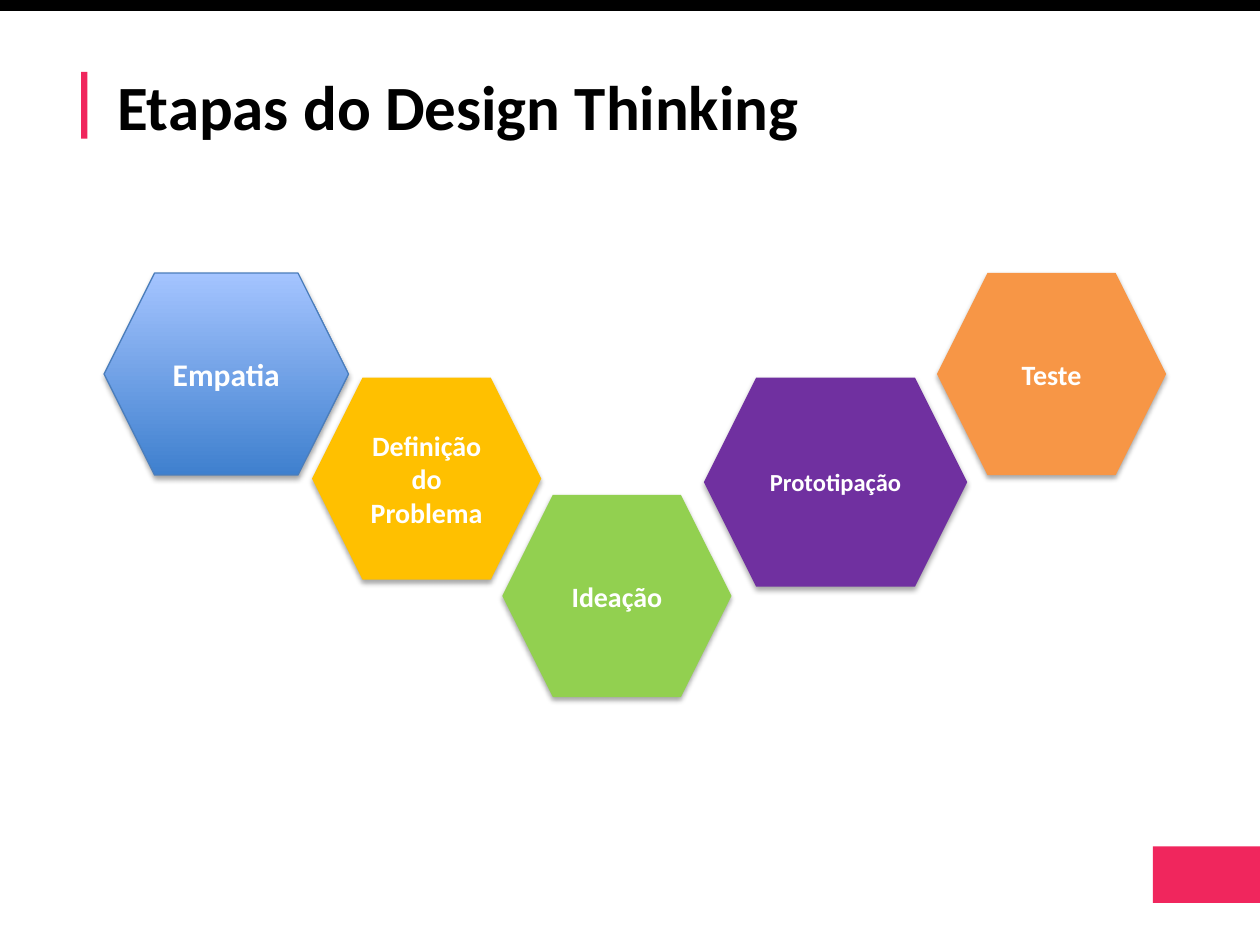
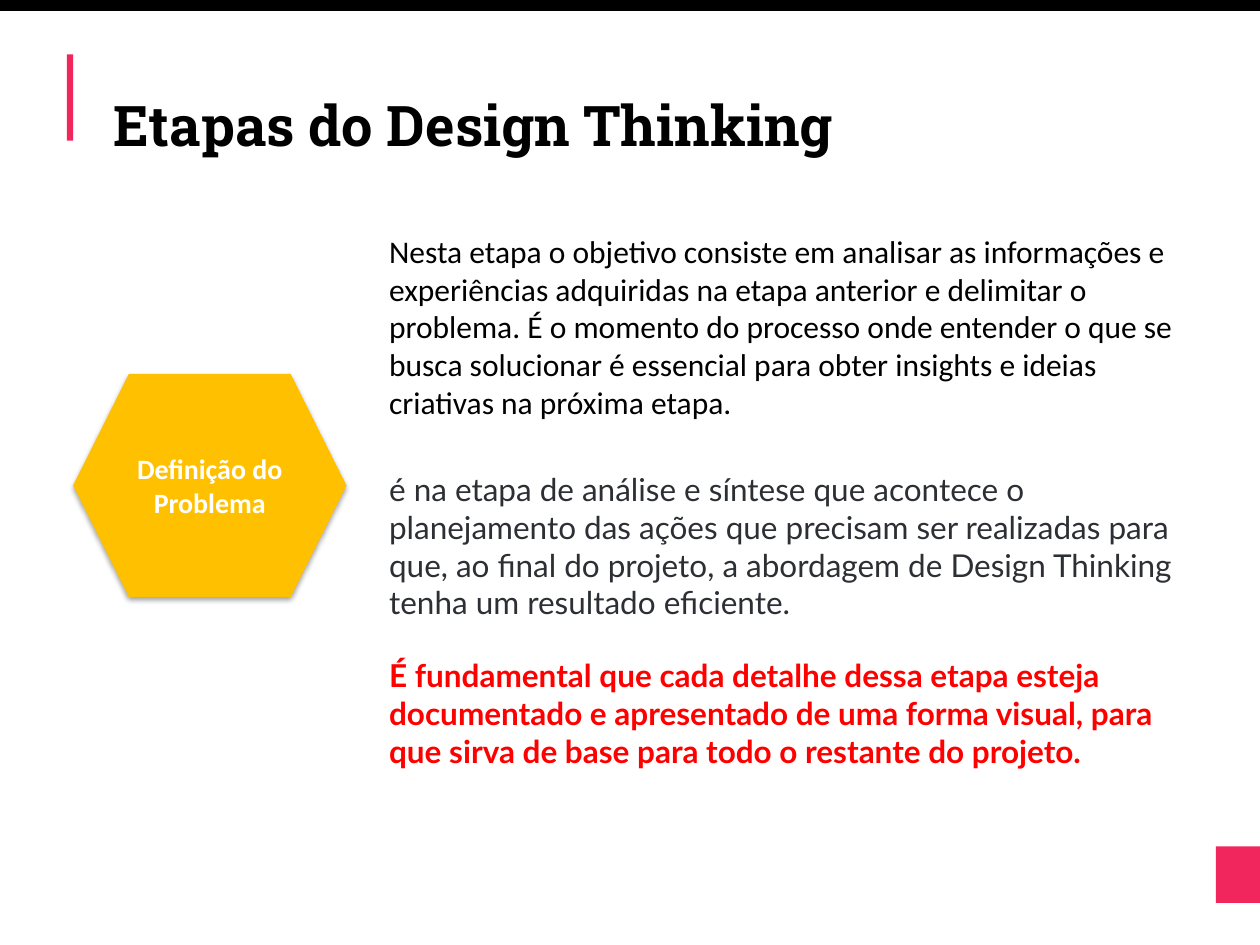
import pptx
import pptx.util
import pptx.dml.color
import pptx.enum.shapes
import pptx.enum.text
import pptx.oxml

Pt = pptx.util.Pt
KIND = pptx.enum.shapes.MSO_SHAPE
ALIGN = pptx.enum.text.PP_ALIGN
ANCHOR = pptx.enum.text.MSO_ANCHOR
FIT = pptx.enum.text.MSO_AUTO_SIZE

WIDE, HIGH = 720, 540
COLORS = {
    "pink": "F0265D", "black": "000000", "white": "FFFFFF",
    "deep": "3F80CE", "pale": "A4C4FF", "edge": "4B7EBC",
    "gold": "FFC000", "green": "92D050", "purple": "7030A0",
    "orange": "F79646", "slate": "2C2F34", "red": "FF0000",
}
TITLE = "Etapas do Design Thinking"
DEFINE = "Definição do Problema"
SHADE = (
    '<a:effectLst xmlns:a="http://schemas.openxmlformats.org/drawingml/2006/main">'
    '<a:outerShdw blurRad="39370" dist="22860" dir="5400000" rotWithShape="0">'
    '<a:srgbClr val="000000"><a:alpha val="35000"/></a:srgbClr>'
    '</a:outerShdw></a:effectLst>'
)


def color(name):
    return pptx.dml.color.RGBColor.from_string(COLORS[name])


def style(para, size, face, tint, bold=False):
    for run in para.runs:
        font = run.font
        font.size, font.name, font.bold = Pt(size), face, bold
        font.color.rgb = color(tint)


def block(slide, kind, box, tint):
    shape = slide.shapes.add_shape(kind, *map(Pt, box))
    shape.shadow.inherit = False
    shape.fill.solid()
    shape.fill.fore_color.rgb = color(tint)
    shape.line.fill.background()
    return shape


def prose(slide, box, texts, gap=0, wrap=True):
    """Add a text box; each text is (words, size, font, colour, bold)."""
    frame = slide.shapes.add_textbox(*map(Pt, box)).text_frame
    frame.word_wrap = wrap
    frame.auto_size = FIT.SHAPE_TO_FIT_TEXT
    for i, (words, *look) in enumerate(texts):
        para = frame.add_paragraph() if i else frame.paragraphs[0]
        para.text = words
        para.space_before = para.space_after = Pt(gap)
        style(para, *look)


def hexagon(slide, box, words, size, tint):
    """Add a shadowed step; the tint "blue" stands for the outlined gradient."""
    blue = tint == "blue"
    shape = block(slide, KIND.HEXAGON, box, "deep" if blue else tint)
    if blue:
        shape.fill.gradient()
        shape.fill.gradient_angle = 90
        for stop, name in zip(shape.fill.gradient_stops, ("deep", "pale")):
            stop.color.rgb = color(name)
        shape.line.color.rgb = color("edge")
        shape.line.width = Pt(0.75)
    props = shape._element.spPr
    for old in props.findall(pptx.oxml.ns.qn("a:effectLst")):
        props.replace(old, pptx.oxml.parse_xml(SHADE))
    frame = shape.text_frame
    frame.text = words
    frame.word_wrap = True
    frame.vertical_anchor = ANCHOR.MIDDLE
    para = frame.paragraphs[0]
    para.alignment = ALIGN.CENTER
    style(para, size, "Calibri", "white", True)


def base(deck, tab, bar, head, size, face):
    """Start a slide with its top band, corner tab, title bar and title."""
    slide = deck.slides.add_slide(deck.slide_layouts[6])
    for box, tint in (((WIDE - tab, 483.6, tab, 32.4), "pink"),
                      ((0, 0, WIDE, 6.3), "black"),
                      (bar, "pink")):
        block(slide, KIND.RECTANGLE, box, tint)
    prose(slide, head, [(TITLE, size, face, "black", True)], wrap=False)
    return slide


def steps(slide, box):
    """Lay the five steps out in a V whose top left corner starts the box."""
    left, top = box[:2]
    for x, y, w, h, words, size, tint in (
            (0, 0, 139.7, 115.5, "Empatia", 18, "blue"),
            (118.8, 59.8, 131, 115.5, DEFINE, 16, "gold"),
            (227.5, 126.8, 131, 115.5, "Ideação", 16, "green"),
            (342.7, 59.8, 150.5, 119.5, "Prototipação", 14, "purple"),
            (475.9, 0, 131, 115.5, "Teste", 16, "orange")):
        hexagon(slide, (left + x, top + y, w, h), words, size, tint)


def detail(slide, box):
    """Put the step on the left of the box and its account on the right."""
    left, top, width, height = box
    tall = 127.4
    hexagon(slide, (left, top + 84.8, 156.2, tall), DEFINE, 16, "gold")
    text = left + 173.5
    prose(slide, (text, top + 136.1, 463, 180), [
        ("é na etapa de análise e síntese que acontece o planejamento das "
         "ações que precisam ser realizadas para que, ao final do projeto, a "
         "abordagem de Design Thinking tenha um resultado eficiente.",
         18, "Lato", "slate"),
        ("É fundamental que cada detalhe dessa etapa esteja documentado e "
         "apresentado de uma forma visual, para que sirva de base para todo "
         "o restante do projeto.", 18, "Lato", "red", True)], gap=10)
    prose(slide, (text, top, left + width - text, 116.6), [
        ("Nesta etapa o objetivo consiste em analisar as informações e "
         "experiências adquiridas na etapa anterior e delimitar o problema. "
         "É o momento do processo onde entender o que se busca solucionar é "
         "essencial para obter insights e ideias criativas na próxima etapa.",
         18, "Calibri", "black")])


def main():
    deck = pptx.Presentation()
    deck.slide_width, deck.slide_height = Pt(WIDE), Pt(HIGH)
    slide = base(deck, 61.2, (46.3, 41.1, 3.6, 38.2),
                 (59.8, 35.3, 409, 51), 36, "Calibri")
    steps(slide, (59.5, 156, 606.9, 242.3))
    slide = base(deck, 25.2, (38.2, 31, 3.6, 49.4),
                 (57.6, 48.2, 428.4, 46), 32, "Roboto Slab")
    detail(slide, (41.8, 128.9, 653.7, 316.1))
    deck.save("out.pptx")


if __name__ == "__main__":
    main()
